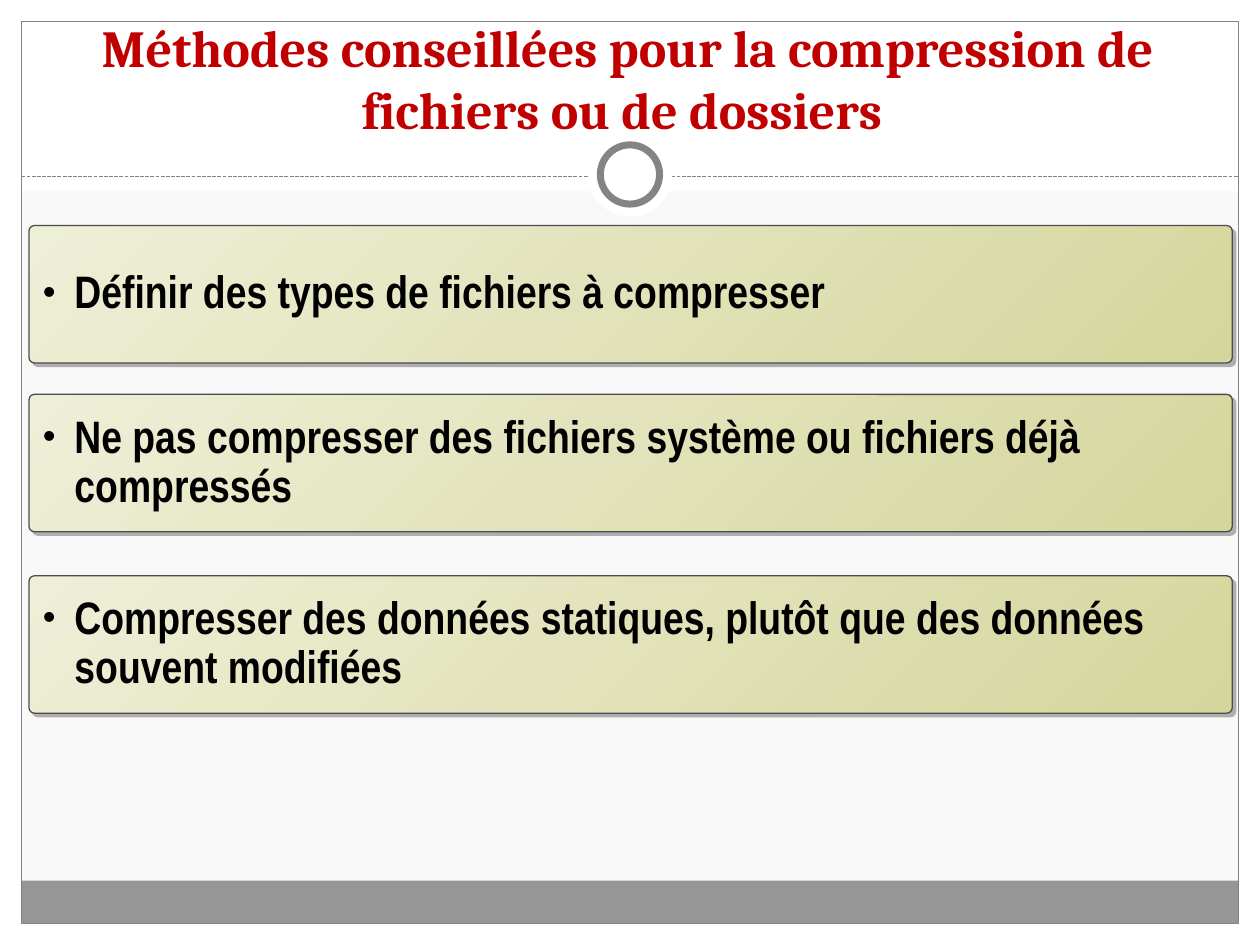
from lxml import etree
from pptx import Presentation
from pptx.dml.color import RGBColor
from pptx.enum.dml import MSO_LINE
from pptx.enum.shapes import MSO_CONNECTOR, MSO_SHAPE
from pptx.enum.text import MSO_ANCHOR, PP_ALIGN
from pptx.oxml import parse_xml
from pptx.oxml.ns import nsdecls, qn
from pptx.util import Inches, Pt

RECTANGLE, ROUNDED, OVAL = MSO_SHAPE.RECTANGLE, MSO_SHAPE.ROUNDED_RECTANGLE, MSO_SHAPE.OVAL
STRAIGHT, DASHED = MSO_CONNECTOR.STRAIGHT, MSO_LINE.SQUARE_DOT
LEFT, CENTER = PP_ALIGN.LEFT, PP_ALIGN.CENTER
MIDDLE, BOTTOM = MSO_ANCHOR.MIDDLE, MSO_ANCHOR.BOTTOM

# Grid of square cells, ten to the inch
COLUMNS, ROWS = 100, 75
MARGIN = 1.7
HEADER_HEIGHT = 15.2
FOOTER_HEIGHT = 3.4
WHITE, GRAY, FOOTER_GRAY = "FFFFFF", "848484", "969696"

TITLE = "Méthodes conseillées pour la compression de fichiers ou de dossiers "
METHODS = [
    (17.9, "Définir des types de fichiers à compresser"),
    (31.3, "Ne pas compresser des fichiers système ou fichiers déjà compressés"),
    (45.7, "Compresser des données statiques, plutôt que des données souvent modifiées"),
]


def cells(count):
    return Inches(count / 10)


def color(value):
    return RGBColor.from_string(value)


def add_box(slide, kind, box, fill=None, line=None, width=0.75):
    shape = slide.shapes.add_shape(kind, *map(cells, box))
    shape.shadow.inherit = False
    if fill:
        shape.fill.solid()
        shape.fill.fore_color.rgb = color(fill)
    else:
        shape.fill.background()
    if line:
        shape.line.color.rgb = color(line)
        shape.line.width = Pt(width)
    else:
        shape.line.fill.background()
    return shape


def write_text(shape, text, font, size, text_color, align=LEFT, anchor=MIDDLE,
               spacing=None, bullet=None):
    frame = shape.text_frame
    frame.word_wrap = True
    frame.vertical_anchor = anchor
    paragraph = frame.paragraphs[0]
    paragraph.alignment = align
    if spacing:
        paragraph.line_spacing = spacing
    if bullet:
        properties = paragraph._p.get_or_add_pPr()
        properties.set("marL", str(cells(2.5)))
        properties.set("indent", str(-cells(2.5)))
        etree.SubElement(properties, qn("a:buSzPct")).set("val", "80000")
        etree.SubElement(properties, qn("a:buFont")).set("typeface", "Arial")
        etree.SubElement(properties, qn("a:buChar")).set("char", bullet)
    run = paragraph.add_run()
    run.text = text
    run.font.name, run.font.size, run.font.bold = font, Pt(size), True
    run.font.color.rgb = color(text_color)


def add_frame(slide, box):
    left, top, width, height = box
    # White bands around the content, with a taller one for the header
    bands = [
        (0, top + height, COLUMNS, ROWS - top - height),
        (0, 0, COLUMNS, HEADER_HEIGHT),
        (0, 0, left, ROWS),
        (left + width, 0, COLUMNS - left - width, ROWS),
    ]
    for band in bands:
        add_box(slide, RECTANGLE, band, WHITE)
    # Footer bar and outline
    add_box(slide, RECTANGLE, (left, top + height - FOOTER_HEIGHT, width, FOOTER_HEIGHT),
            FOOTER_GRAY)
    add_box(slide, RECTANGLE, box, line=GRAY)


def add_divider(slide, box):
    left, center_y, width, diameter = box
    line = slide.shapes.add_connector(STRAIGHT, cells(left), cells(center_y),
                                      cells(left + width), cells(center_y))
    line.line.color.rgb = color(GRAY)
    line.line.width = Pt(0.75)
    line.line.dash_style = DASHED
    etree.SubElement(line._element.spPr, qn("a:effectLst"))
    # White disc that interrupts the line, and the ring inside it
    middle, disc_top, inset = left + width / 2, center_y - 3.5, 1
    add_box(slide, OVAL, (middle - diameter / 2, disc_top, diameter, diameter), WHITE)
    ring = diameter - 2 * inset
    add_box(slide, OVAL, (middle - ring / 2, disc_top + inset, ring, ring), WHITE, GRAY, 4)


def add_title(slide, box):
    title = slide.shapes.add_textbox(*map(cells, box))
    write_text(title, TITLE, "Cambria", 29.7, "C00000", align=CENTER, anchor=BOTTOM)


def add_method(slide, box, text):
    bar = add_box(slide, ROUNDED, box, line="4D4D4D")
    bar.adjustments[0] = 0.04
    bar.fill.gradient()
    bar.fill.gradient_angle = 315
    for stop, tint in zip(bar.fill.gradient_stops, ("EEEFD7", "D5D69C")):
        stop.color.rgb = color(tint)
    # Hard gray shadow towards the lower right
    bar._element.spPr.find(qn("a:effectLst")).append(parse_xml(
        f'<a:outerShdw {nsdecls("a")} blurRad="0" dist="{Pt(2.8)}" dir="2700000" '
        'algn="ctr" rotWithShape="0"><a:srgbClr val="AFAFAF"/></a:outerShdw>'))
    write_text(bar, text, "Arial Narrow", 26, "000000", spacing=0.9, bullet="•")


def main():
    presentation = Presentation()
    presentation.slide_width, presentation.slide_height = cells(COLUMNS), cells(ROWS)
    slide = presentation.slides.add_slide(presentation.slide_layouts[6])
    slide.background.fill.solid()
    slide.background.fill.fore_color.rgb = color("F8F8F8")

    inner_width, inner_height = COLUMNS - 2 * MARGIN, ROWS - 2 * MARGIN
    add_frame(slide, (MARGIN, MARGIN, inner_width, inner_height))
    add_divider(slide, (MARGIN, 14, inner_width, 6.7))
    add_title(slide, (1.9, 3.3, 95.9, 8.3))
    for top, text in METHODS:
        add_method(slide, (2.3, top, 95.5, 10.9), text)
    presentation.save("out.pptx")


if __name__ == "__main__":
    main()
